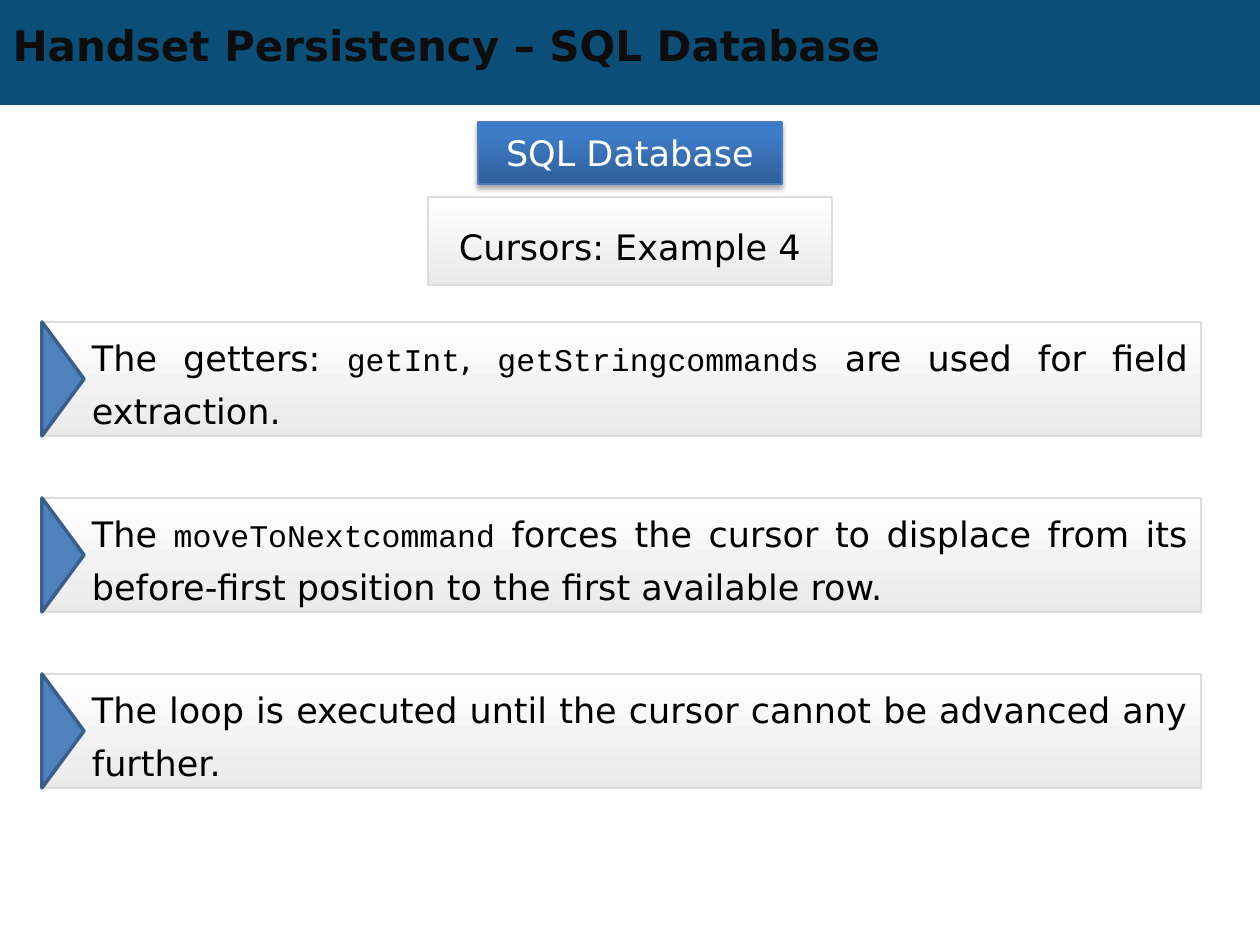
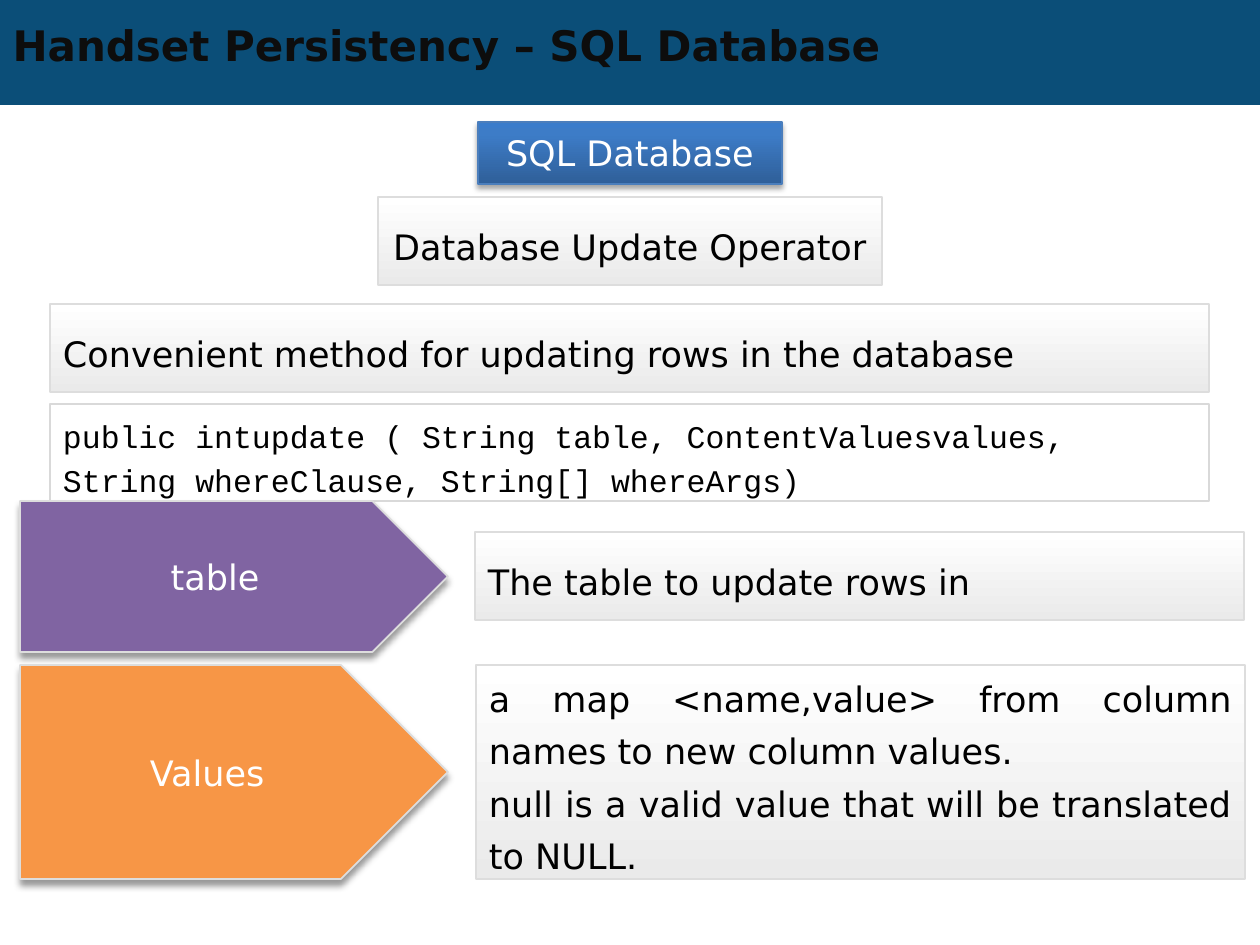
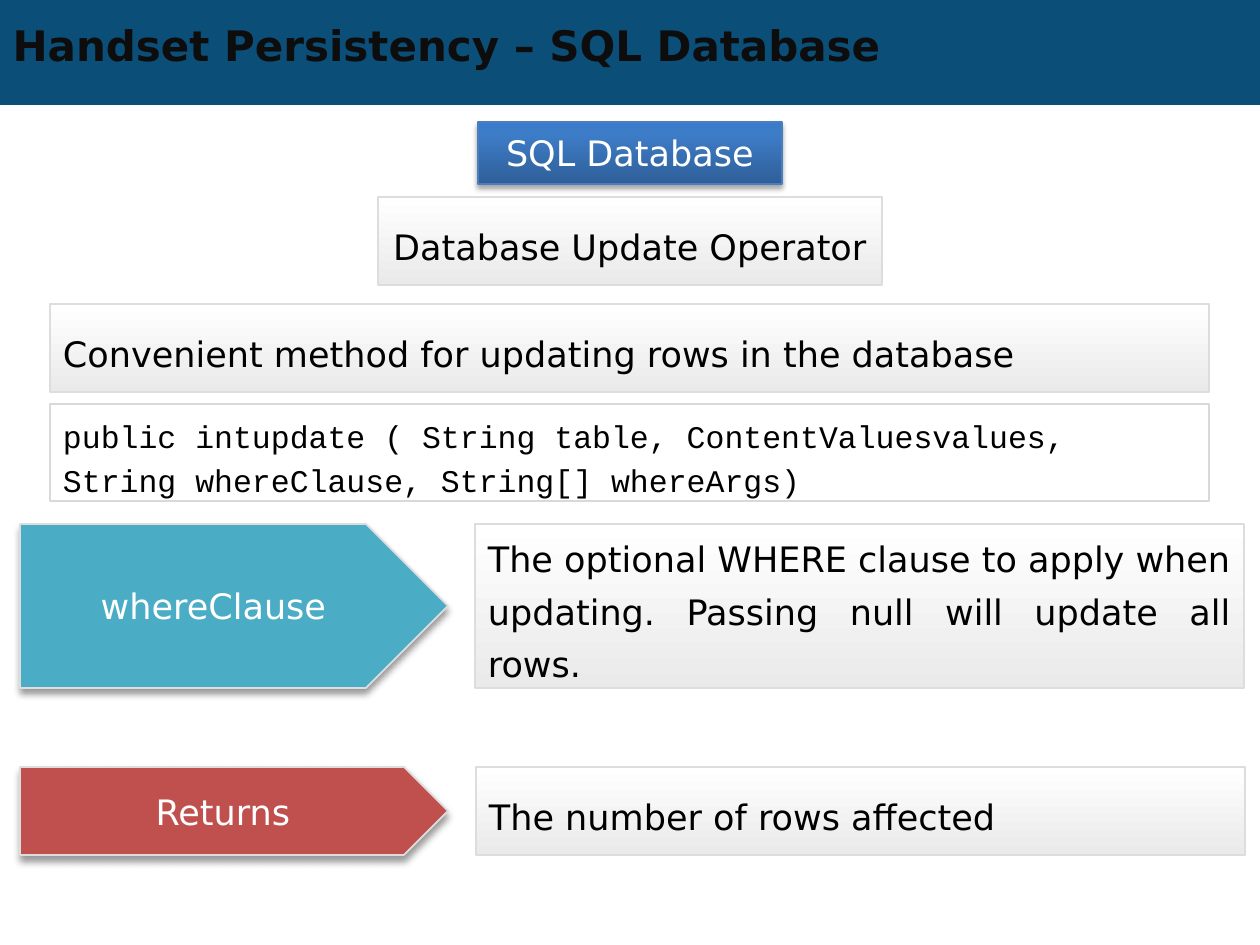
from lxml import etree
from pptx import Presentation
from pptx import util as u
from pptx.dml.color import RGBColor
from pptx.enum import shapes, text
from pptx.oxml.ns import qn

# Shared look
SCALE = u.Inches(1) / 126
SANS, MONO = "DejaVu Sans", "Courier New"
BLACK, WHITE, EDGE = "000000", "FFFFFF", "DDDDDD"
GREY_FADE = (270, [(0, WHITE), (100, "EAEAEA")])
BLUE_FADE = (90, [(0, "2F5F99"), (80, "3D7CC7"), (100, "3A7CCB")])
RECT, PENTAGON, TRIANGLE = (shapes.MSO_SHAPE.RECTANGLE, shapes.MSO_SHAPE.PENTAGON,
                            shapes.MSO_SHAPE.ISOSCELES_TRIANGLE)
CENTER, JUSTIFY, LEFT = text.PP_ALIGN.CENTER, text.PP_ALIGN.JUSTIFY, text.PP_ALIGN.LEFT
rgb = RGBColor.from_string


def px(*lengths):
    return [u.Emu(round(n * SCALE)) for n in lengths]


def box(parent, at, lines=(), kind=RECT, fill=GREY_FADE, line=EDGE, weight=1, color=BLACK,
        align=JUSTIFY, spacing=30, inset=(13, 6, 13, 6), shadow=None):
    """Add a shape; words between backticks are set as code."""
    sp = parent.add_shape(kind, *px(*at))
    sp.shadow.inherit = False
    if isinstance(fill, tuple):
        angle, stops = fill
        sp.fill.gradient()
        sp.fill.gradient_angle = angle
        gs_list = sp.element.find(".//" + qn("a:gsLst"))
        for gs in list(gs_list):
            gs_list.remove(gs)
        for pos, hue in stops:
            gs = etree.SubElement(gs_list, qn("a:gs"), pos=str(pos * 1000))
            etree.SubElement(gs, qn("a:srgbClr"), val=hue)
    elif fill:
        sp.fill.solid()
        sp.fill.fore_color.rgb = rgb(fill)
    else:
        sp.fill.background()
    if line:
        sp.line.color.rgb = rgb(line)
        sp.line.width = u.Pt(weight)
    else:
        sp.line.fill.background()
    if shadow:
        alpha, blur, dist = shadow
        effects = sp.element.find(".//" + qn("a:effectLst"))
        outer = etree.SubElement(effects, qn("a:outerShdw"), blurRad=str(u.Pt(blur)),
                                 dist=str(u.Pt(dist)), dir="5400000", rotWithShape="0")
        hue = etree.SubElement(outer, qn("a:srgbClr"), val=BLACK)
        etree.SubElement(hue, qn("a:alpha"), val=str(alpha * 1000))
    tf = sp.text_frame
    tf.word_wrap = True
    tf.margin_left, tf.margin_top, tf.margin_right, tf.margin_bottom = px(*inset)
    for i, content in enumerate(lines):
        p = tf.paragraphs[0] if i == 0 else tf.add_paragraph()
        p.alignment = align
        if spacing:
            p.line_spacing = u.Pt(spacing)
        p.font.color.rgb = rgb(color)
        parts = content.split("`")
        if len(parts) == 1:
            p.font.size, p.font.name = u.Pt(20), SANS
        for j, part in enumerate(parts):
            if not part:
                continue
            r = p.add_run()
            r.text = part
            if len(parts) > 1:
                r.font.size, r.font.name = (u.Pt(18), MONO) if j % 2 else (u.Pt(20), SANS)
                r.font.color.rgb = rgb(color)
    return sp


prs = Presentation()
prs.slide_width, prs.slide_height = px(1260, 945)
layout = prs.slide_layouts[5]

# Title, topic and heading of every slide
slides = []
for heading, width in [("Cursors: Example 4", 404), ("Database Update Operator", 504),
                       ("Database Update Operator", 504)]:
    s = prs.slides.add_slide(layout)
    slides.append(s)
    title = s.shapes.title
    title.left, title.top, title.width, title.height = px(0, 18, 1134, 54)
    tf = title.text_frame
    tf.text = "Handset Persistency – SQL Database"
    tf.auto_size = text.MSO_AUTO_SIZE.NONE
    tf.vertical_anchor = text.MSO_ANCHOR.MIDDLE
    p = tf.paragraphs[0]
    p.alignment = LEFT
    p.font.size, p.font.name, p.font.bold = u.Pt(24), SANS, True
    p.font.color.rgb = rgb("0D0D0D")
    box(s.shapes, (478, 122, 304, 62), ["SQL Database"], fill=BLUE_FADE, line="4B7EBC",
        weight=0.75, color=WHITE, align=CENTER, spacing=None, shadow=(35, 3.1, 1.8))
    box(s.shapes, (630 - width // 2, 197, width, 88), [heading], align=CENTER)

# Title band on the master
band = box(slides[0].shapes, (0, 0, 1260, 105), fill="0B4E78", line=None)
prs.slide_master.shapes.element.insert(2, band.element)

# Slide 1: statements with triangle markers
statements = [
    "The getters: `getInt`, `getStringcommands` are used for field extraction.",
    "The `moveToNextcommand` forces the cursor to displace from its before-first position "
    "to the first available row.",
    "The loop is executed until the cursor cannot be advanced any further.",
]
for i, statement in enumerate(statements):
    top = 322 + 176 * i
    group = slides[0].shapes.add_group_shape().shapes
    box(group, (42, top, 1159, 114), [statement], inset=(50, 0, 13, 0))
    marker = box(group, (6, top + 36, 114, 42), kind=TRIANGLE, fill="4F81BD",
                 line="3A5F8C", weight=2)
    marker.rotation = 90

# Slides 2 and 3: method signature and its parameters
# name, colour, arrow top and height, text left, top and height, description
parameters = [
    [("table", "8064A2", 501, 151, 475, 532, 88, ["The table to update rows in"]),
     ("Values", "F79646", 665, 214, 476, 665, 214,
      ["a map <name,value> from column names to new column values.",
       "null is a valid value that will be translated to NULL."])],
    [("whereClause", "4BACC6", 524, 164, 475, 524, 164,
      ["The optional WHERE clause to apply when updating. Passing null will update all rows."]),
     ("Returns", "C0504D", 767, 88, 476, 767, 88, ["The number of rows affected"])],
]
for s, rows in zip(slides[1:], parameters):
    box(s.shapes, (50, 304, 1159, 88), ["Convenient method for updating rows in the database"])
    code = box(s.shapes, (50, 404, 1159, 97),
               ["`public intupdate ( String table, ContentValuesvalues,`",
                "`String whereClause, String[] whereArgs)`"],
               fill=None, line="D9D9D9", weight=1.5, align=LEFT, spacing=None,
               inset=(13, 13, 13, 6))
    code.text_frame.vertical_anchor = text.MSO_ANCHOR.TOP
    code.text_frame.paragraphs[1].space_before = u.Pt(3.6)
    for name, hue, top, height, left, text_top, text_height, description in rows:
        box(s.shapes, (20, top, 428, height), [name], kind=PENTAGON, fill=hue, color=WHITE,
            align=CENTER, spacing=None, inset=(0, 0, 0, 0), shadow=(40, 4, 3))
        box(s.shapes, (left, text_top, 769, text_height), description)

prs.save("out.pptx")
